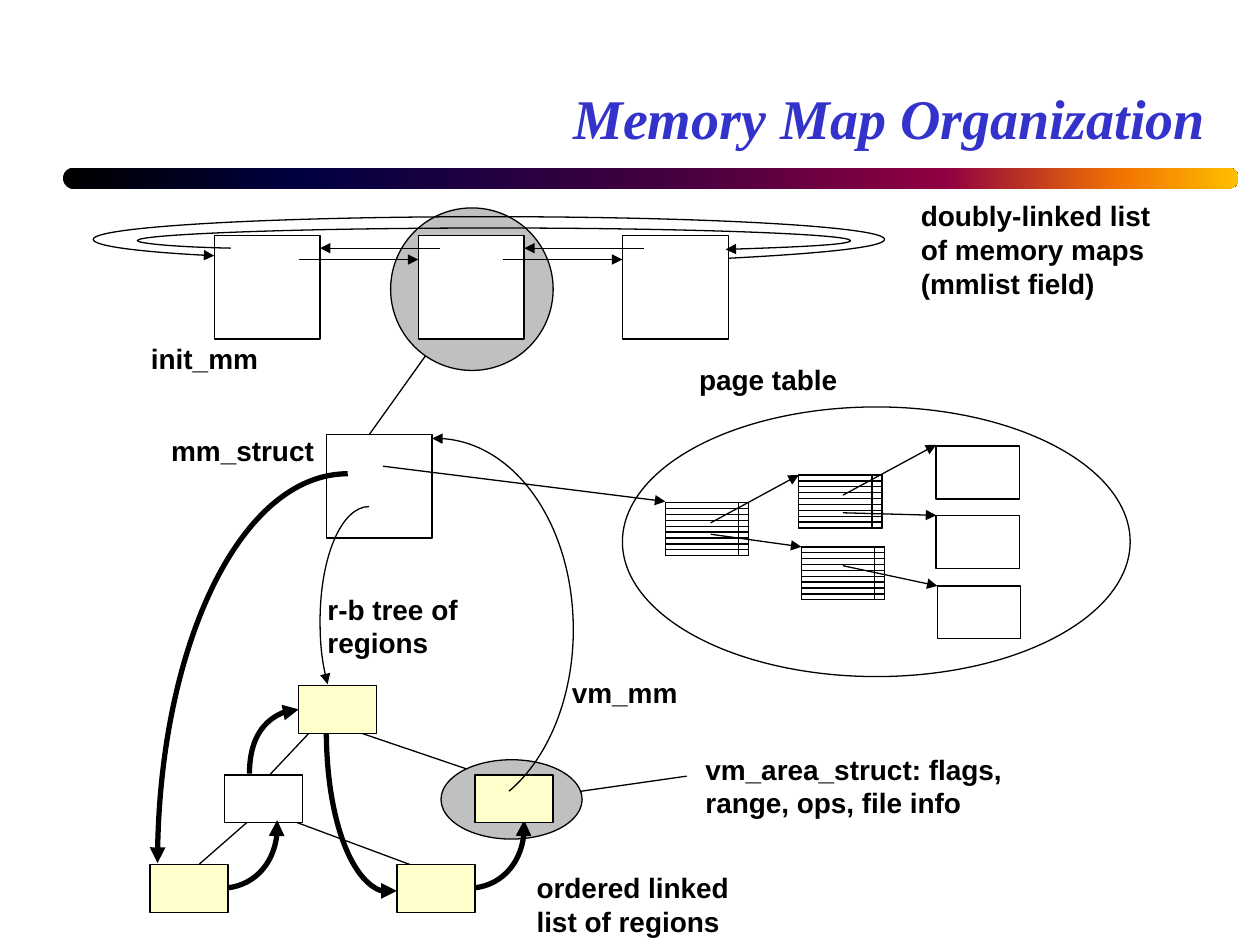
"""Build the Memory Map Organization slide."""
from lxml import etree
from pptx import Presentation
from pptx import util as u
from pptx.dml.color import RGBColor
from pptx.enum import shapes, text
from pptx.oxml.ns import qn

PX = 9144
COLORS = {"ink": "000000", "title": "3333CC", "white": "FFFFFF",
          "region": "FFFFCC", "focus": "C0C0C0"}
BAR_STOPS = [(0, "000000"), (20, "000040"), (50, "400040"),
             (75, "8F0040"), (90, "F27300"), (100, "FFBF00")]
TITLE = "Memory Map Organization"

LABELS = [
    (545, 283, 131, 37, "l", ["page table"]),
    (416, 686, 175, 64, "l", ["ordered linked", "list of regions"]),
    (250, 465, 125, 64, "l", ["r-b tree of", "regions"]),
    (550, 592, 259, 64, "l", ["vm_area_struct: flags,", "range, ops, file info"]),
    (444, 531, 105, 37, "l", ["vm_mm"]),
    (124, 339, 135, 37, "r", ["mm_struct"]),
    (110, 266, 106, 37, "l", ["init_mm"]),
    (721, 153, 205, 91, "l", ["doubly-linked list", "of memory maps\n(mmlist field)"]),
]

MAP_SIZE, MAP_TOP = (84, 82), 187
MAP_LEFTS = [170, 332, 494]
MM_STRUCT = (259, 345)
REGION_SIZE = (62, 38)
REGIONS = [(119, 686), (315, 686), (377, 615), (237, 544)]
INNER_REGION = (178, 615)
FOCUS_ELLIPSES = [(310, 165, 129, 129), (350, 603, 112, 63)]
PAGE_ELLIPSE = (494, 323, 403, 214)
PAGE_SIZE = (66, 42)
PAGE_TABLES = [(528, 399), (634, 377), (636, 434)]
PAGES = [(743, 354), (743, 409), (744, 465)]
TABLE_ROWS, ROW_SLOTS, COLUMN_OFFSET = (0, 1, 2, 3, 5, 6, 8), 9, 58

TREE_LINES = [(333, 689, 220, 647), (293, 345, 338, 282), (214, 615, 248, 579),
              (158, 686, 198, 651), (399, 620, 287, 582)]
CALLOUT_LINE = (461, 628, 545, 616)
POINTERS = [(564, 415, 634, 377), (669, 393, 743, 353), (669, 407, 743, 409),
            (669, 449, 744, 465), (564, 424, 636, 434), (304, 370, 528, 398)]

REGION_LIST_CURVES = [
    [(198, 614), (198, 586), (215, 563), (237, 563)],
    [(259, 579), (259, 650), (282, 708), (309, 708), (311, 708), (313, 708), (315, 707)],
    [(371, 705), (396, 705), (416, 684), (416, 657), (416, 655), (416, 653), (416, 651)],
    [(175, 705), (200, 705), (220, 684), (220, 657), (220, 655), (220, 653), (220, 651)],
    [(276, 376), (192, 376), (125, 515), (125, 685)],
]
THIN_CURVES = [
    [(293, 402), (271, 402), (254, 442), (254, 493), (254, 511), (256, 528), (260, 543)],
    [(183, 197), (135, 196), (109, 193), (109, 191), (109, 186), (235, 181), (392, 181),
     (548, 181), (675, 186), (675, 191), (675, 194), (638, 196), (576, 198)],
    [(578, 205), (656, 201), (702, 196), (702, 190), (702, 180), (561, 172), (388, 172),
     (215, 172), (74, 180), (74, 190), (74, 195), (109, 200), (170, 203)],
]
VM_MM_CURVE = [(404, 628), (436, 601), (455, 552), (455, 500), (455, 416), (406, 348),
               (346, 348), (345, 348), (344, 348), (343, 348)]

prs = Presentation()
prs.slide_width, prs.slide_height = 1000 * PX, 750 * PX
slide = prs.slides.add_slide(prs.slide_layouts[5])


def rgb(name):
    return RGBColor.from_string(COLORS[name])


def emu(*lengths):
    return [round(length * PX) for length in lengths]


def style_line(line, points, arrow):
    line.color.rgb = rgb("ink")
    line.width = u.Pt(points)
    if arrow:
        etree.SubElement(line._get_or_add_ln(), qn("a:tailEnd"), type="triangle")


def add_figure(kind, left, top, width, height, fill=None):
    figure = slide.shapes.add_shape(kind, *emu(left, top, width, height))
    figure.shadow.inherit = False
    if fill:
        figure.fill.solid()
        figure.fill.fore_color.rgb = rgb(fill)
    else:
        figure.fill.background()
    style_line(figure.line, 0.75, False)
    return figure


def add_box(position, size, fill=None):
    return add_figure(shapes.MSO_SHAPE.RECTANGLE, *position, *size, fill)


def add_straight(ends, arrow=False):
    straight = slide.shapes.add_connector(shapes.MSO_CONNECTOR.STRAIGHT, *emu(*ends))
    style_line(straight.line, 0.75, arrow)
    etree.SubElement(straight._element.spPr, qn("a:effectLst"))


def add_curve(points, width):
    builder = slide.shapes.build_freeform(*points[0], scale=PX)
    builder.add_line_segments(points[1:], close=False)
    curve = builder.convert_to_shape()
    curve.shadow.inherit = False
    curve.fill.background()
    style_line(curve.line, width, True)
    segments = list(curve._element.iter(qn("a:lnTo")))
    for start in range(0, len(segments), 3):
        bezier = etree.Element(qn("a:cubicBezTo"))
        segments[start].addprevious(bezier)
        for segment in segments[start:start + 3]:
            bezier.append(segment[0])
            segment.getparent().remove(segment)


def add_page_table(left, top):
    width, height = PAGE_SIZE
    pitch = height / ROW_SLOTS
    for row in TABLE_ROWS:
        add_box((left, top + row * pitch), (width, pitch))
    add_box((left, top), PAGE_SIZE)
    add_straight((left + COLUMN_OFFSET, top, left + COLUMN_OFFSET, top + height))


def add_label(left, top, width, height, side, lines):
    frame = slide.shapes.add_textbox(*emu(left, top, width, height)).text_frame
    frame.word_wrap = False
    frame.auto_size = text.MSO_AUTO_SIZE.SHAPE_TO_FIT_TEXT
    for number, line in enumerate(lines):
        paragraph = frame.add_paragraph() if number else frame.paragraphs[0]
        paragraph.alignment = text.PP_ALIGN.RIGHT if side == "r" else text.PP_ALIGN.LEFT
        for part, words in enumerate(line.split("\n")):
            if part:
                paragraph.add_line_break()
            add_run(paragraph, words, "Arial", 16, "ink")


def add_run(paragraph, words, font, size, color):
    run = paragraph.add_run()
    run.text = words
    run.font.name, run.font.size, run.font.bold = font, u.Pt(size), True
    run.font.color.rgb = rgb(color)
    return run


bar = add_figure(shapes.MSO_SHAPE.ROUNDED_RECTANGLE, 50, 133, 933, 17)
bar.adjustments[0] = 0.5
bar.line.fill.background()
bar.fill.gradient()
bar.fill.gradient_angle = 0
stops = next(bar._element.iter(qn("a:gsLst")))
stops.clear()
for percent, color in BAR_STOPS:
    stop = etree.SubElement(stops, qn("a:gs"), pos=str(percent * 1000))
    etree.SubElement(stop, qn("a:srgbClr"), val=color)

title = slide.shapes.title
title.left, title.top, title.width, title.height = emu(50, 31, 917, 94)
title.text_frame.vertical_anchor = text.MSO_ANCHOR.BOTTOM
heading = title.text_frame.paragraphs[0]
heading.alignment = text.PP_ALIGN.RIGHT
add_run(heading, TITLE, "Times New Roman", 32, "title").font.italic = True

for ends in TREE_LINES:
    add_straight(ends)
for ellipse in FOCUS_ELLIPSES:
    add_figure(shapes.MSO_SHAPE.OVAL, *ellipse, "focus")
add_figure(shapes.MSO_SHAPE.OVAL, *PAGE_ELLIPSE)
for page in PAGES:
    add_box(page, PAGE_SIZE)
for table in PAGE_TABLES:
    add_page_table(*table)
add_box(INNER_REGION, REGION_SIZE, "white")
add_box(MM_STRUCT, MAP_SIZE)
for left in MAP_LEFTS:
    add_box((left, MAP_TOP), MAP_SIZE, "white" if left == MAP_LEFTS[1] else None)
for left, following in zip(MAP_LEFTS, MAP_LEFTS[1:]):
    add_straight((left + 67, 206, following, 206), arrow=True)
    add_straight((following + 17, 197, left + MAP_SIZE[0], 197), arrow=True)
for ends in POINTERS:
    add_straight(ends, arrow=True)
add_straight(CALLOUT_LINE)
for points in REGION_LIST_CURVES:
    add_curve(points, 3)
for points in THIN_CURVES:
    add_curve(points, 0.75)
for region in REGIONS:
    add_box(region, REGION_SIZE, "region")
add_curve(VM_MM_CURVE, 0.75)
for label in LABELS:
    add_label(*label)

prs.save("out.pptx")
